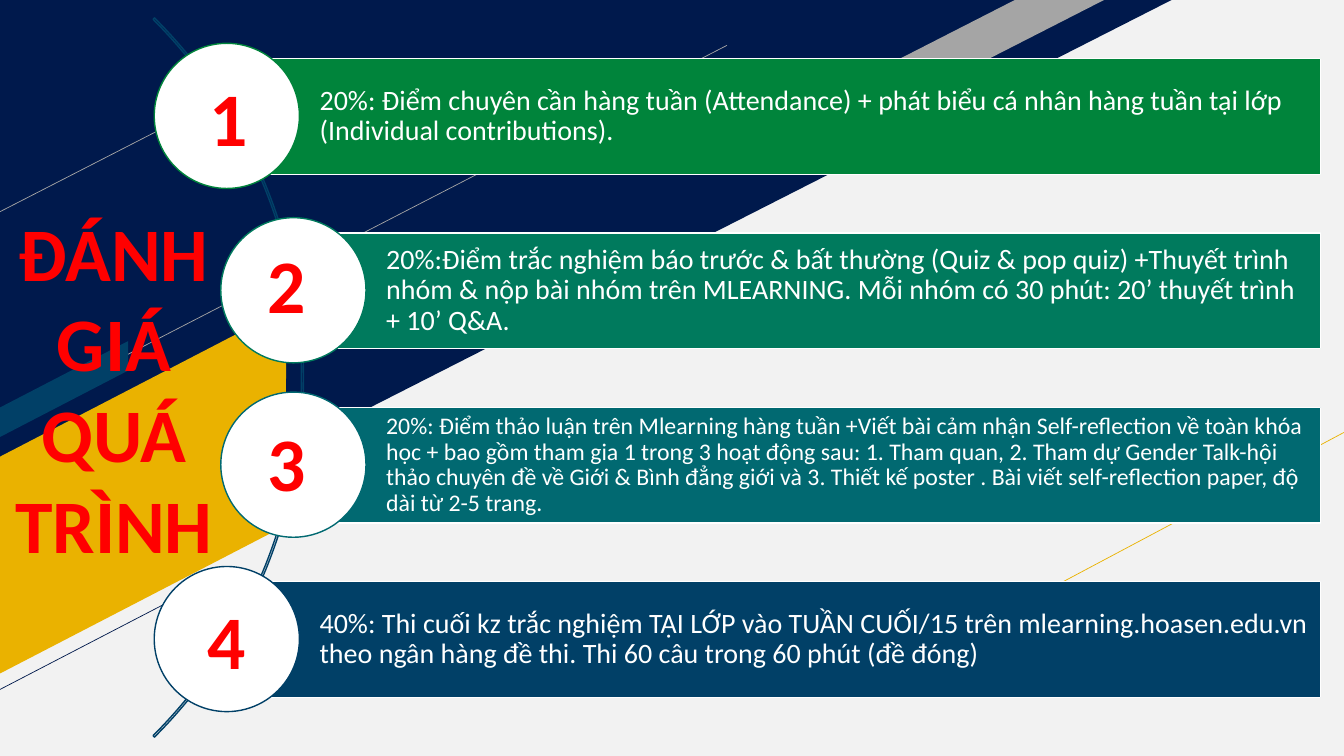
from lxml.etree import SubElement
from pptx import Presentation
from pptx.dml.color import RGBColor
from pptx.enum.shapes import MSO_CONNECTOR, MSO_SHAPE as SHAPE
from pptx.enum.text import MSO_ANCHOR, MSO_AUTO_SIZE as AUTO_SIZE, PP_ALIGN
from pptx.oxml import parse_xml
from pptx.oxml.ns import nsdecls, qn
from pptx.util import Emu, Pt

PX = 9144  # one px is a hundredth of an inch
NAVY, BLUE, GOLD, GREY = "00194C", "014067", "EAB200", "A6A6A6"
WHITE, RED = "FFFFFF", "FF0000"
ROW_TOP, ROW_STEP, BAR_HEIGHT, BAR_RIGHT = 58, 173, 115, 1310
CIRCLE = 144

# Bar left, colour, text size, inset, number position, text
CRITERIA = [
    (225, "00843B", 20, 6, (197, 65),
     "20%: Điểm chuyên cần hàng tuần (Attendance) + phát biểu cá nhân hàng tuần "
     "tại lớp (Individual contributions)."),
    (291, "007A5D", 20, 6, (255, 231),
     "20%:Điểm trắc nghiệm báo trước & bất thường (Quiz & pop quiz) +Thuyết trình "
     "nhóm & nộp bài nhóm trên MLEARNING. Mỗi nhóm có 30 phút: 20’ thuyết trình "
     "+ 10’ Q&A."),
    (291, "016971", 17, 5, (255, 408),
     "20%: Điểm thảo luận trên Mlearning hàng tuần +Viết bài cảm nhận "
     "Self-reflection về toàn khóa học + bao gồm tham gia 1 trong 3 hoạt động sau: "
     "1. Tham quan, 2. Tham dự Gender Talk-hội thảo chuyên đề về Giới & Bình đẳng "
     "giới và 3. Thiết kế poster . Bài viết self-reflection paper, độ dài từ 2-5 "
     "trang."),
    (225, BLUE, 20, 6, (195, 584),
     "40%: Thi cuối kz trắc nghiệm TẠI LỚP vào TUẦN CUỐI/15 trên "
     "mlearning.hoasen.edu.vn theo ngân hàng đề thi. Thi 60 câu trong 60 phút "
     "(đề đóng)"),
]


def px(*lengths):
    return [Emu(length * PX) for length in lengths]


def color(code):
    return RGBColor.from_string(code)


def set_all(target, formats):
    for name, value in formats.items():
        setattr(target, name, value)


def add_figure(slide, kind, box, fill=None, line=None, adjust=(), rotation=0):
    figure = slide.shapes.add_shape(kind, *px(*box))
    figure.shadow.inherit = False
    figure.rotation = rotation
    for index, value in enumerate(adjust):
        figure.adjustments[index] = value
    if fill:
        figure.fill.solid()
        figure.fill.fore_color.rgb = color(fill)
    else:
        figure.fill.background()
    if line:
        figure.line.color.rgb = color(line)
        figure.line.width = Pt(1)
    else:
        figure.line.fill.background()
    return figure


def add_stripe(slide, ends, code):
    stripe = slide.shapes.add_connector(MSO_CONNECTOR.STRAIGHT, *px(*ends))
    stripe.line.color.rgb = color(code)
    stripe.line.width = Pt(0.5)
    SubElement(stripe._element.spPr, qn("a:effectLst"))


def write(frame, text, size, code, bold=False, align=PP_ALIGN.LEFT):
    paragraph = frame.paragraphs[0]
    paragraph.alignment = align
    run = paragraph.add_run()
    run.text = text
    set_all(run.font, {"name": "Calibri", "size": Pt(size), "bold": bold})
    run.font.color.rgb = color(code)
    return run


def write_display(frame, text):
    """Big red lettering with a gold outline."""
    run = write(frame, text, 54, RED, True, PP_ALIGN.CENTER)
    outline = (f'<a:ln {nsdecls("a")} w="22225"><a:solidFill>'
               f'<a:srgbClr val="{GOLD}"/></a:solidFill></a:ln>')
    run.font._element.insert(0, parse_xml(outline))


def add_backdrop(slide):
    slide.background.fill.solid()
    slide.background.fill.fore_color.rgb = color("F2F2F2")
    corner = add_figure(slide, SHAPE.RIGHT_TRIANGLE, (0, 0, 1162, 591), NAVY)
    corner._element.spPr.xfrm.set("flipV", "1")
    add_figure(slide, SHAPE.PARALLELOGRAM, (-70, 392, 422, 191), GOLD,
               adjust=[0.532], rotation=332.6)
    add_stripe(slide, (0, 210, 195, 110), GREY)
    add_stripe(slide, (985, 614, 1333, 429), GOLD)
    add_figure(slide, SHAPE.PARALLELOGRAM, (848, 0, 247, 81), "A5A5A5",
               adjust=[1.958])
    add_stripe(slide, (0, 417, 721, 45), GREY)
    add_stripe(slide, (-2, 685, 208, 576), NAVY)
    add_figure(slide, SHAPE.PARALLELOGRAM, (-15, 373, 157, 26), BLUE,
               adjust=[0.532], rotation=332.6)


def add_title(slide):
    title = slide.shapes.title
    left, top, width, height = px(0, 199, 226, 374)
    set_all(title, {"left": left, "top": top, "width": width, "height": height})
    set_all(title.text_frame, {"word_wrap": True, "auto_size": AUTO_SIZE.NONE,
                               "vertical_anchor": MSO_ANCHOR.TOP})
    write_display(title.text_frame, "ĐÁNH GIÁ QUÁ TRÌNH")
    slide.shapes._spTree.append(title._element)  # in front of the backdrop


def add_criterion(slide, top, left, code, size, inset, text):
    bar = add_figure(slide, SHAPE.RECTANGLE,
                     (left, top, BAR_RIGHT - left, BAR_HEIGHT), code, WHITE)
    indent, margin = px(92, inset)
    set_all(bar.text_frame, {
        "word_wrap": True, "vertical_anchor": MSO_ANCHOR.MIDDLE,
        "margin_left": indent, "margin_top": margin,
        "margin_right": margin, "margin_bottom": margin})
    write(bar.text_frame, text, size, WHITE)
    bar.text_frame.paragraphs[0].line_spacing = 0.9
    add_figure(slide, SHAPE.OVAL,
               (left - CIRCLE // 2, top - 15, CIRCLE, CIRCLE), WHITE, code)


def add_number(slide, position, number):
    label = slide.shapes.add_textbox(*px(*position, 59, 101))
    set_all(label.text_frame, {"word_wrap": False,
                               "auto_size": AUTO_SIZE.SHAPE_TO_FIT_TEXT})
    write_display(label.text_frame, str(number))


def main():
    deck = Presentation()
    deck.slide_width, deck.slide_height = px(1333, 750)
    slide = deck.slides.add_slide(deck.slide_layouts[5])

    add_backdrop(slide)
    add_title(slide)

    # Arc that links the four criteria
    add_figure(slide, SHAPE.BLOCK_ARC, (-708, -130, 1009, 1009), line=BLUE,
               adjust=[189, 27, 0.002])

    for row, (left, code, size, inset, position, text) in enumerate(CRITERIA):
        add_criterion(slide, ROW_TOP + row * ROW_STEP, left, code, size, inset, text)
        add_number(slide, position, row + 1)

    deck.save("out.pptx")


if __name__ == "__main__":
    main()
